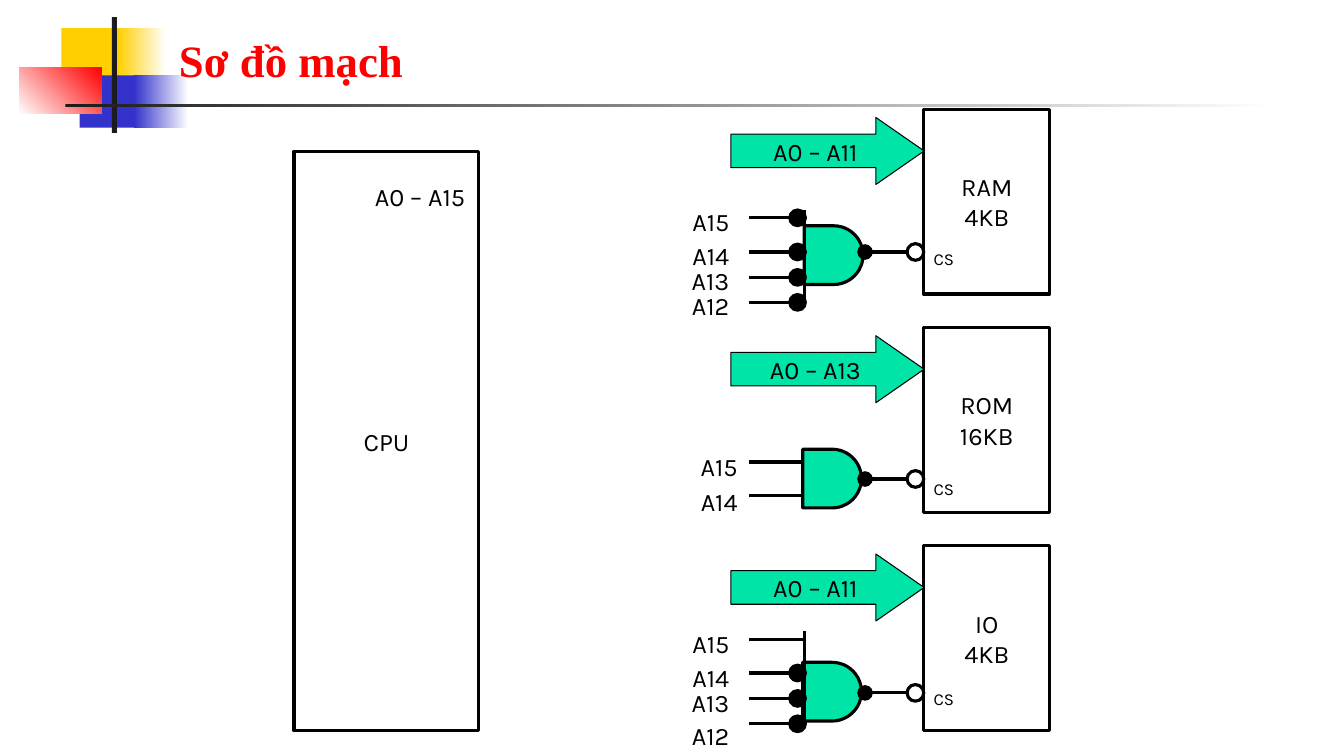
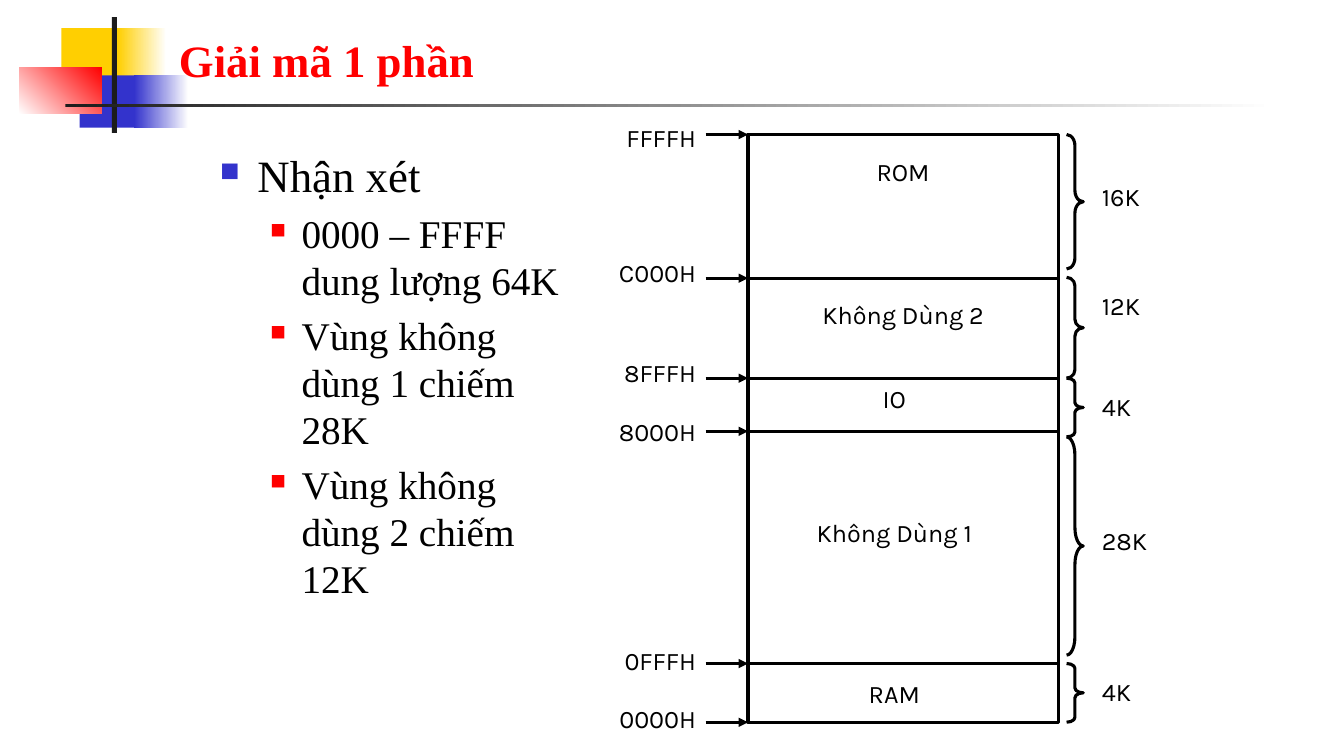
import pptx
import pptx.util
import pptx.dml.color
import pptx.enum.shapes
import pptx.enum.text
import pptx.oxml.ns
import pptx.oxml.xmlchemy

Cm, Pt = pptx.util.Cm, pptx.util.Pt
RGBColor = pptx.dml.color.RGBColor
SHAPE = pptx.enum.shapes.MSO_SHAPE
ALIGN = pptx.enum.text.PP_ALIGN
ANCHOR = pptx.enum.text.MSO_ANCHOR
qn = pptx.oxml.ns.qn

BLACK = RGBColor(0x00, 0x00, 0x00)
WHITE = RGBColor(0xFF, 0xFF, 0xFF)
RED = RGBColor(0xFF, 0x00, 0x00)
YELLOW = RGBColor(0xFF, 0xCF, 0x01)
BLUE = RGBColor(0x33, 0x33, 0xCC)
CHARCOAL = RGBColor(0x1C, 0x1C, 0x1C)
GREEN = RGBColor(0x00, 0xE4, 0xA8)

SERIF, SANS = "Times New Roman", "Karla"
LABEL_H = 1.02  # height of a one-line label, cm

# Shared design: left, top, width, height (cm), start colour, end colour, angle
BANDS = [
    (1.55, 0.71, 1.63, 1.32, YELLOW, None, 0),
    (2.97, 0.71, 1.22, 1.32, YELLOW, WHITE, 0),
    (2.01, 1.9, 1.57, 1.32, BLUE, None, 0),
    (3.38, 1.9, 1.37, 1.32, BLUE, WHITE, 0),
    (0.48, 1.7, 2.08, 1.17, WHITE, RED, 45),
    (2.82, 0.43, 0.13, 2.92, CHARCOAL, None, 0),
    (1.65, 2.62, 30.48, 0.08, CHARCOAL, WHITE, 0),
]

# Memory chips: name, size, address bus, select line y, CS label y, gate (x, y),
# input label x, inputs (name, line y, label y, inverted)
CHIPS = [
    ("RAM", "4KB", "A0 – A11", 6.35, 6.15, (20.27, 5.69), 16.51,
     [("A15", 5.49, 5.08, True), ("A14", 6.35, 5.93, True),
      ("A13", 6.99, 6.56, True), ("A12", 7.62, 7.2, True)]),
    ("ROM", "16KB", "A0 – A13", 12.07, 11.94, (20.23, 11.32), 16.72,
     [("A15", 11.64, 11.25, False), ("A14", 12.49, 12.12, False)]),
    ("IO", "4KB", "A0 – A11", 17.46, 17.22, (20.23, 16.69), 16.51,
     [("A15", 16.11, 15.7, False), ("A14", 16.96, 16.56, True),
      ("A13", 17.6, 17.2, True), ("A12", 18.24, 18.03, True)]),
]

# Memory map: address, line y, label y
ADDRESSES = [
    ("FFFFH", 3.39, 2.97), ("C000H", 7.01, 6.35), ("8FFFH", 9.53, 8.89),
    ("8000H", 10.87, 10.36), ("0FFFH", 16.72, 16.13), ("0000H", 18.2, 17.6),
]
# Region: name, name x, name y, size, size y, brace top, brace height
REGIONS = [
    ("ROM", 19.69, 3.81, "16K", 4.45, 3.39, 3.39),
    ("Không Dùng 2", 19.69, 7.41, "12K", 7.2, 6.99, 2.54),
    ("IO", 19.47, 9.53, "4K", 9.74, 9.53, 1.48),
    ("Không Dùng 1", 19.47, 12.9, "28K", 13.12, 11.01, 5.5),
    ("RAM", 19.47, 16.97, "4K", 16.93, 16.72, 1.48),
]
REMARKS = ["0000 – FFFF dung lượng 64K", "Vùng không dùng 1 chiếm 28K",
           "Vùng không dùng 2 chiếm 12K"]


def new_element(tag, **attributes):
    element = pptx.oxml.xmlchemy.OxmlElement(tag)
    for key, value in attributes.items():
        element.set(key, str(value))
    return element


def set_font(p, size, name=SANS, color=BLACK, bold=False):
    p.font.size, p.font.name, p.font.bold = Pt(size), name, bold
    p.font.color.rgb = color


def add_shape(slide, kind, x, y, w, h, fill=None, line=2.25, lines=()):
    """Preset shape with a black outline and centred lines of text."""
    sp = slide.shapes.add_shape(kind, Cm(x), Cm(y), Cm(w), Cm(h))
    sp.shadow.inherit = False
    if fill is None:
        sp.fill.background()
    else:
        sp.fill.solid()
        sp.fill.fore_color.rgb = fill
    if line:
        sp.line.color.rgb, sp.line.width = BLACK, Pt(line)
    else:
        sp.line.fill.background()
    tf = sp.text_frame
    for i, text in enumerate(lines):
        p = tf.add_paragraph() if i else tf.paragraphs[0]
        p.text, p.alignment = text, ALIGN.CENTER
        set_font(p, 18)
    if lines:
        tf.word_wrap, tf.vertical_anchor = False, ANCHOR.MIDDLE
    return sp


def add_text(slide, x, y, w, h, text, align=ALIGN.LEFT, size=18, **font):
    tf = slide.shapes.add_textbox(Cm(x), Cm(y), Cm(w), Cm(h)).text_frame
    tf.word_wrap = True
    p = tf.paragraphs[0]
    p.text, p.alignment = text, align
    set_font(p, size, **font)
    return tf


def add_line(slide, x1, y1, x2, y2, end=None, kind="triangle", size="med"):
    """Straight line; end is headEnd or tailEnd for an ornament there."""
    ln = slide.shapes.add_connector(pptx.enum.shapes.MSO_CONNECTOR.STRAIGHT,
                                    Cm(x1), Cm(y1), Cm(x2), Cm(y2))
    ln.line.color.rgb, ln.line.width = BLACK, Pt(2.25)
    props = ln._element.spPr
    if end:
        tip = new_element("a:" + end, type=kind, w=size, len=size)
        props.find(qn("a:ln")).append(tip)
    props.append(new_element("a:effectLst"))


def add_bullet(p, left, hang, color, percent):
    pPr = p._p.get_or_add_pPr()
    pPr.set("marL", str(Cm(left)))
    pPr.set("indent", str(-Cm(hang)))
    clr = new_element("a:buClr")
    clr.append(new_element("a:srgbClr", val=color))
    pPr.extend([clr, new_element("a:buSzPct", val=percent * 1000),
                new_element("a:buChar", char="■")])


def add_slide(prs, title):
    """Blank slide with the shared bands and title style."""
    slide = prs.slides.add_slide(prs.slide_layouts[6])
    for x, y, w, h, start, stop, angle in BANDS:
        sp = add_shape(slide, SHAPE.RECTANGLE, x, y, w, h, start, line=None)
        if stop is not None:
            sp.fill.gradient()
            sp.fill.gradient_angle = angle
            for gs, color, at in zip(sp.fill.gradient_stops, (start, stop), (0, 1)):
                gs.color.rgb, gs.position = color, at
    tf = add_text(slide, 4.26, 0.58, 28.86, 1.73, title,
                  size=32, name=SERIF, color=RED, bold=True)
    tf.vertical_anchor = ANCHOR.BOTTOM
    return slide


def add_chip(slide, top, chip):
    """Chip box, its address bus and its chip-select logic."""
    name, size, bus, select_y, cs_y, (gate_x, gate_y), label_x, inputs = chip
    add_shape(slide, SHAPE.RECTANGLE, 23.28, top, 3.18, 4.66, lines=(name, size))
    arrow = add_shape(slide, SHAPE.RIGHT_ARROW, 18.42, top + 0.21, 4.87, 1.69,
                      GREEN, 0.75, [bus])
    arrow.adjustments[1] = 0.72
    add_text(slide, 23.28, cs_y, 1.48, 0.76, "CS", size=12)

    # Gate and inputs
    add_shape(slide, SHAPE.FLOWCHART_DELAY, gate_x, gate_y, 1.48, 1.48, GREEN)
    if len(inputs) > 2:
        add_line(slide, 20.27, inputs[0][1] - 0.2, 20.27, inputs[-1][1] + 0.08)
    for label, y, label_y, inverted in inputs:
        add_line(slide, 18.87, y, 20.27, y)
        if inverted:
            add_shape(slide, SHAPE.FLOWCHART_CONNECTOR, 19.89, y - 0.21,
                      0.42, 0.42, BLACK, 1.5)
        add_text(slide, label_x, label_y, 2.12, LABEL_H, label, ALIGN.RIGHT)

    # Output to chip select
    add_line(slide, 21.8, select_y, 22.86, select_y, "headEnd", "oval", "lg")
    add_shape(slide, SHAPE.FLOWCHART_CONNECTOR, 22.86, select_y - 0.21, 0.42, 0.42)


def build_circuit(prs):
    slide = add_slide(prs, "Sơ đồ mạch")
    add_shape(slide, SHAPE.RECTANGLE, 7.41, 3.81, 4.66, 14.61, lines=["CPU"])
    add_text(slide, 8.89, 4.45, 3.39, LABEL_H, "A0 – A15", ALIGN.CENTER)
    for i, chip in enumerate(CHIPS):
        add_chip(slide, 2.75 + 5.5 * i, chip)


def build_memory_map(prs):
    slide = add_slide(prs, "Giải mã 1 phần")

    # Remarks
    tf = add_text(slide, 5.29, 3.6, 9.33, 13.44, "Nhận xét", size=32, name=SERIF)
    add_bullet(tf.paragraphs[0], 0.95, 0.95, BLUE, 60)
    for text in REMARKS:
        p = tf.add_paragraph()
        p.text, p.level, p.space_before = text, 1, Pt(5.6)
        add_bullet(p, 2.06, 0.79, RED, 55)
        set_font(p, 28, SERIF)

    # Map outline, boundaries and addresses
    left, width, top, bottom = 18.85, 7.83, ADDRESSES[0][1], ADDRESSES[-1][1]
    add_shape(slide, SHAPE.RECTANGLE, left, top, width, bottom - top)
    for address, y, label_y in ADDRESSES:
        if top < y < bottom:
            add_line(slide, left, y, left + width, y)
        add_line(slide, 17.78, y, left, y, "tailEnd")
        add_text(slide, 14.61, label_y, 3.18, LABEL_H, address, ALIGN.RIGHT)

    # Regions with braces and sizes
    brace_w = 0.42
    for name, x, y, size, size_y, brace_y, brace_h in REGIONS:
        add_text(slide, x, y, 6.14, LABEL_H, name, ALIGN.CENTER)
        brace = add_shape(slide, SHAPE.RIGHT_BRACE, 26.88, brace_y, brace_w, brace_h)
        brace.adjustments[0] = brace_h / brace_w / 12
        add_text(slide, 27.52, size_y, 1.9, LABEL_H, size)


def main():
    prs = pptx.Presentation()
    prs.slide_width, prs.slide_height = Cm(33.87), Cm(19.05)
    build_circuit(prs)
    build_memory_map(prs)
    prs.save("out.pptx")


if __name__ == "__main__":
    main()
